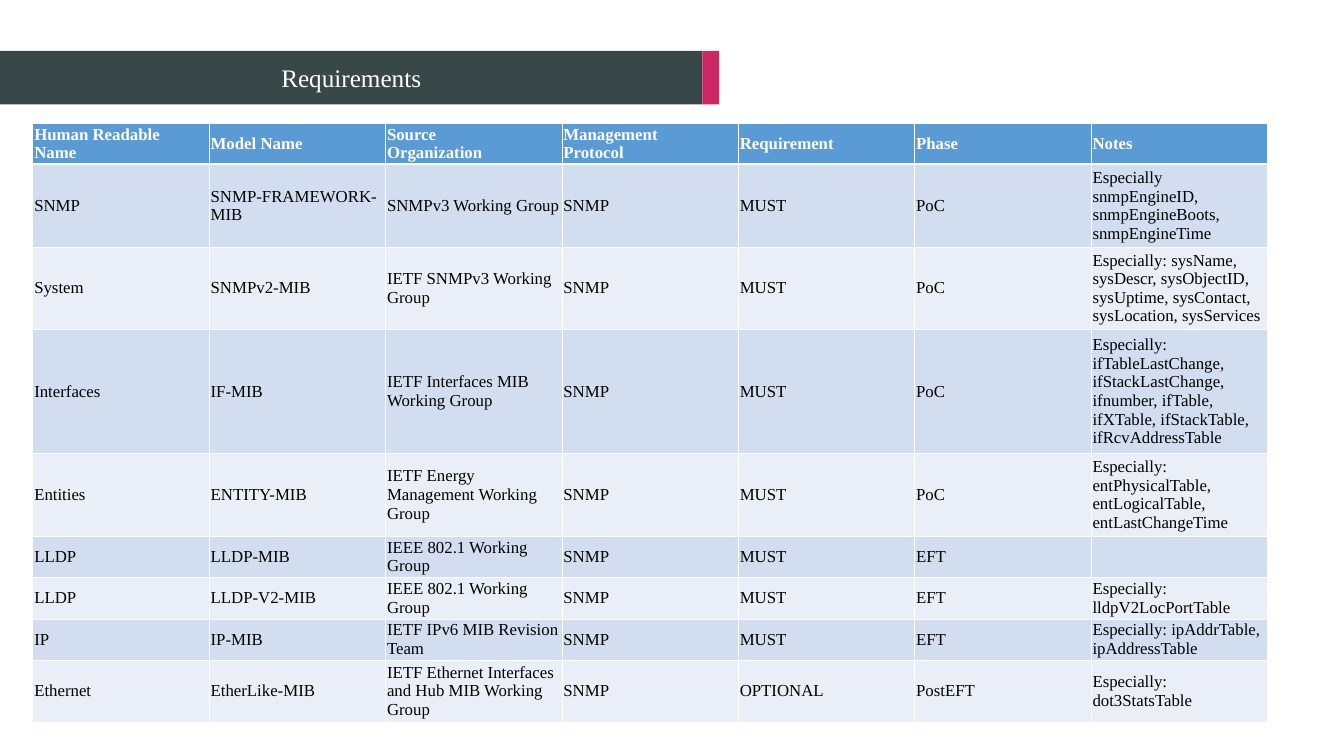
"""Build the requirements slide: a banner title above a table of MIB models."""
import pptx
import pptx.dml.color
import pptx.enum.shapes
import pptx.enum.text
import pptx.oxml
import pptx.oxml.ns
import pptx.util
from dataclasses import dataclass

TITLE = "Requirements"
HEADER = ["Human Readable\vName", "Model Name", "Source\vOrganization",
          "Management\vProtocol", "Requirement", "Phase", "Notes"]
ROWS = [
    ["SNMP", "SNMP-FRAMEWORK-MIB", "SNMPv3 Working Group", "SNMP", "MUST", "PoC",
     "Especially snmpEngineID, snmpEngineBoots, snmpEngineTime"],
    ["System", "SNMPv2-MIB", "IETF SNMPv3 Working Group", "SNMP", "MUST", "PoC",
     "Especially: sysName, sysDescr, sysObjectID, sysUptime, sysContact, sysLocation, sysServices"],
    ["Interfaces", "IF-MIB", "IETF Interfaces MIB Working Group", "SNMP", "MUST", "PoC",
     "Especially: ifTableLastChange, ifStackLastChange, ifnumber, ifTable, ifXTable, "
     "ifStackTable, ifRcvAddressTable"],
    ["Entities", "ENTITY-MIB", "IETF Energy Management Working Group", "SNMP", "MUST", "PoC",
     "Especially: entPhysicalTable, entLogicalTable, entLastChangeTime"],
    ["LLDP", "LLDP-MIB", "IEEE 802.1 Working Group", "SNMP", "MUST", "EFT", ""],
    ["LLDP", "LLDP-V2-MIB", "IEEE 802.1 Working Group", "SNMP", "MUST", "EFT",
     "Especially: lldpV2LocPortTable"],
    ["IP", "IP-MIB", "IETF IPv6 MIB Revision Team", "SNMP", "MUST", "EFT",
     "Especially: ipAddrTable, ipAddressTable"],
    ["Ethernet", "EtherLike-MIB", "IETF Ethernet Interfaces and Hub MIB Working Group",
     "SNMP", "OPTIONAL", "PostEFT", "Especially: dot3StatsTable"],
]
LINES = [2, 4, 4, 6, 4, 2, 2, 2, 3]

SLIDE_W, SLIDE_H = 26.67, 15
BANNER_TOP, BANNER_W, BANNER_H, ACCENT_W = 1.01, 13.94, 1.06, 0.33
TABLE_LEFT, TABLE_TOP, COL_W, LINE_H = 0.65, 2.44, 3.5, 0.41
INSET_X, INSET_Y = 0.03, 0.02


@dataclass(frozen=True)
class Theme:
    font: str = "Times New Roman"
    title_size: int = 36
    cell_size: int = 24
    white: str = "FFFFFF"
    black: str = "000000"
    banner: str = "384849"
    accent: str = "CD2864"
    header: str = "5B9BD5"
    bands: tuple = ("D2DEEF", "EAEFF7")
    thin: int = 1
    thick: int = 3


THEME = Theme()
inch = pptx.util.Inches


def paint(target, color):
    target.fill.solid()
    target.fill.fore_color.rgb = pptx.dml.color.RGBColor.from_string(color)


def write(tf, text, size, color, bold=False, align=pptx.enum.text.PP_ALIGN.LEFT):
    tf.text = text
    p = tf.paragraphs[0]
    p.alignment = align
    for font in [p.font] + [r.font for r in p.runs]:
        font.name = THEME.font
        font.size = pptx.util.Pt(size)
        font.bold = bold
        font.color.rgb = pptx.dml.color.RGBColor.from_string(color)


def add_borders(cell, widths):
    tc_pr = cell._tc.get_or_add_tcPr()
    for side, width in zip("LRTB", widths):
        tc_pr.append(pptx.oxml.parse_xml(
            f'<a:ln{side} {pptx.oxml.ns.nsdecls("a")} w="{pptx.util.Pt(width)}">'
            f'<a:solidFill><a:srgbClr val="{THEME.white}"/></a:solidFill></a:ln{side}>'))


def add_banner(s):
    sp = s.shapes.title
    sp.left, sp.top, sp.width, sp.height = map(inch, (0, BANNER_TOP, BANNER_W, BANNER_H))
    paint(sp, THEME.banner)
    write(sp.text_frame, TITLE, THEME.title_size, THEME.white,
          align=pptx.enum.text.PP_ALIGN.CENTER)
    sp.text_frame.vertical_anchor = pptx.enum.text.MSO_ANCHOR.MIDDLE
    accent = s.shapes.add_shape(pptx.enum.shapes.MSO_SHAPE.RECTANGLE, inch(BANNER_W),
                                inch(BANNER_TOP), inch(ACCENT_W), inch(BANNER_H))
    accent.shadow.inherit = False
    accent.line.fill.background()
    paint(accent, THEME.accent)


def add_requirements(s):
    data = [HEADER] + ROWS
    table = s.shapes.add_table(len(data), len(HEADER), inch(TABLE_LEFT), inch(TABLE_TOP),
                               inch(COL_W * len(HEADER)), inch(LINE_H * sum(LINES))).table
    for col in table.columns:
        col.width = inch(COL_W)
    for i, (values, lines) in enumerate(zip(data, LINES)):
        table.rows[i].height = inch(LINE_H * lines)
        is_header = i == 0
        fill = THEME.header if is_header else THEME.bands[(i - 1) % 2]
        top = THEME.thick if i == 1 else THEME.thin
        bottom = THEME.thick if is_header else THEME.thin
        for j, text in enumerate(values):
            cell = table.cell(i, j)
            cell.margin_left = cell.margin_right = inch(INSET_X)
            cell.margin_top = cell.margin_bottom = inch(INSET_Y)
            cell.vertical_anchor = pptx.enum.text.MSO_ANCHOR.MIDDLE
            add_borders(cell, (THEME.thin, THEME.thin, top, bottom))
            paint(cell, fill)
            write(cell.text_frame, text, THEME.cell_size,
                  THEME.white if is_header else THEME.black, bold=is_header)


def main():
    prs = pptx.Presentation()
    prs.slide_width, prs.slide_height = inch(SLIDE_W), inch(SLIDE_H)
    s = prs.slides.add_slide(prs.slide_layouts[5])
    add_banner(s)
    add_requirements(s)
    prs.save("out.pptx")


if __name__ == "__main__":
    main()
